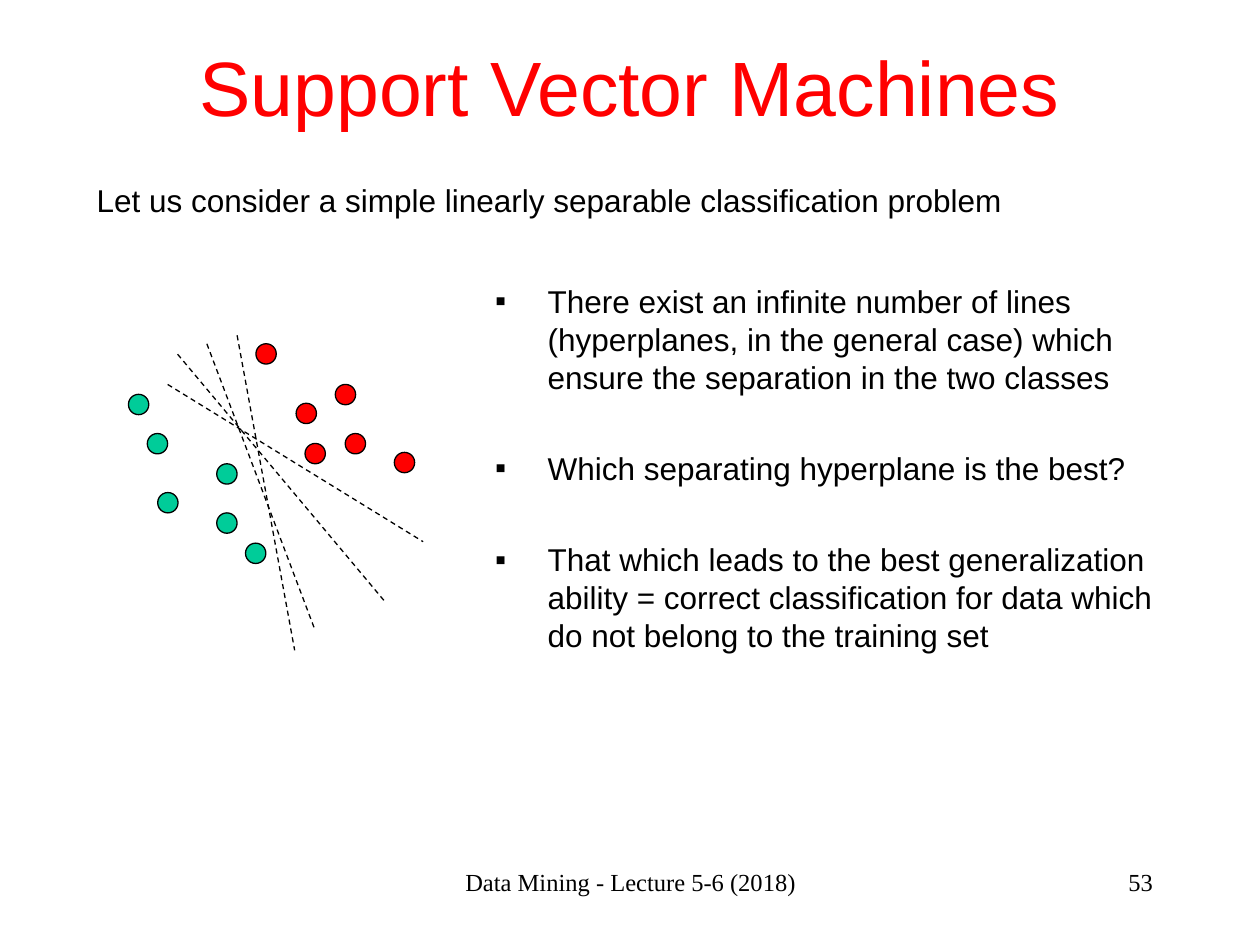
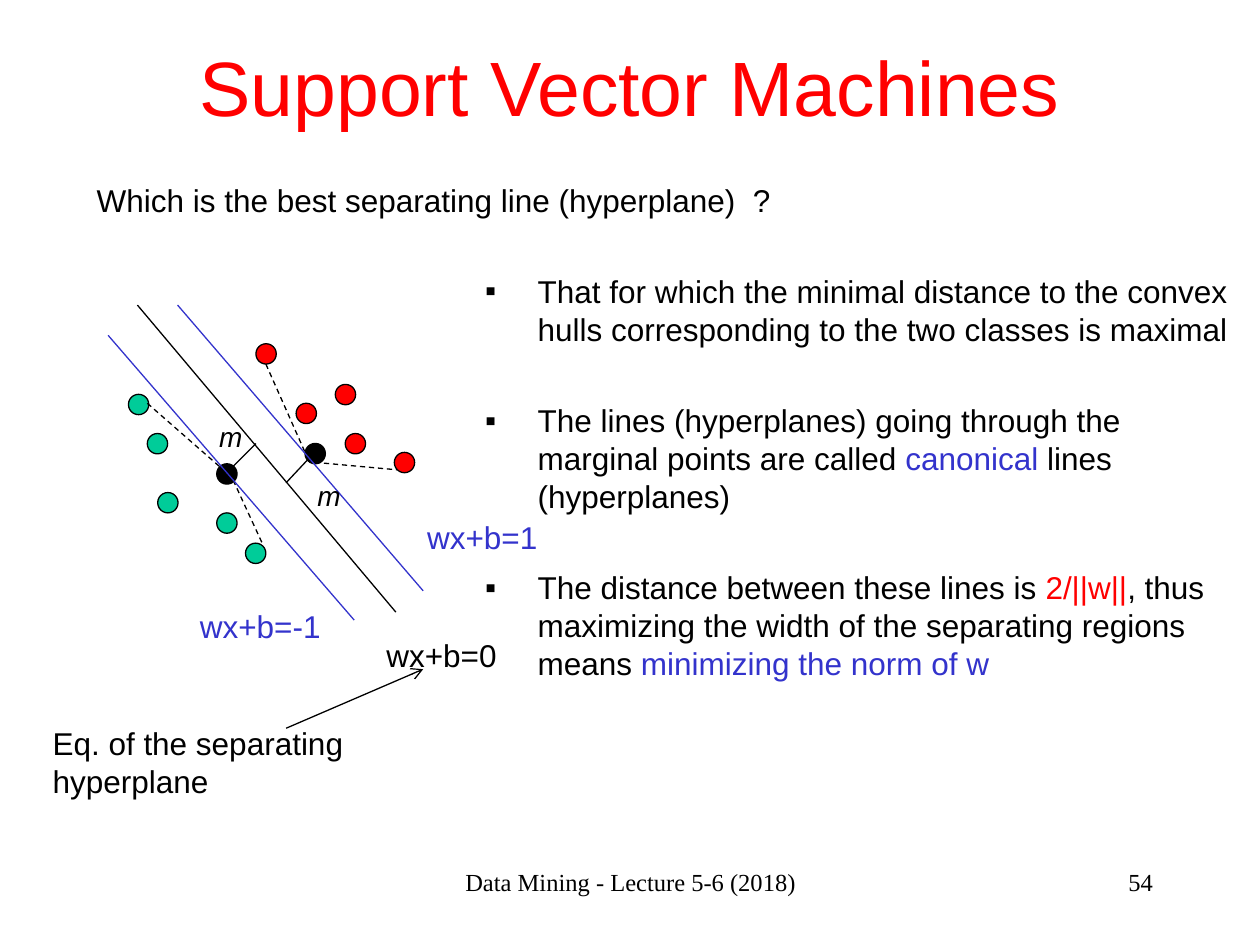
from lxml import etree
from pptx import Presentation
from pptx.dml.color import RGBColor
from pptx.enum.dml import MSO_LINE
from pptx.enum.shapes import MSO_CONNECTOR, MSO_SHAPE
from pptx.enum.text import MSO_ANCHOR, MSO_AUTO_SIZE, PP_ALIGN
from pptx.oxml.ns import qn
from pptx.util import Cm, Pt

BLACK = RGBColor(0x00, 0x00, 0x00)
RED = RGBColor(0xFF, 0x00, 0x00)
GREEN = RGBColor(0x00, 0xCC, 0x99)
BLUE = RGBColor(0x33, 0x33, 0xCC)

BODY_FONT = "Arial"
FOOTER_FONT = "Times New Roman"
BODY_SIZE = 18
LEADING = 1.2
HANGING_INDENT = Cm(1.06)
BULLET_GAP = Pt(30.6)
POINT_DIAMETER = Cm(0.41)
TITLE = "Support Vector Machines"
FOOTER = "Data Mining - Lecture 5-6 (2018)"

# Left and top of each training point, in centimetres
GREEN_CLASS = [(2.97, 8.74), (4.37, 9.35), (4.37, 10.34),
               (3.18, 9.93), (2.59, 7.95), (4.95, 10.95)]
RED_CLASS = [(5.97, 8.13), (6.76, 7.75), (6.15, 8.94),
             (5.16, 6.93), (6.96, 8.74), (7.95, 9.12)]
MARGINAL_POINTS = [(4.37, 9.35), (6.15, 8.94)]

# Lines as x1, y1, x2, y2, in centimetres
CANDIDATE_LINES = [(3.58, 7.14, 7.77, 12.14), (4.17, 6.93, 6.35, 12.7),
                   (3.38, 7.75, 8.53, 10.92), (4.78, 6.76, 5.94, 13.11)]
SEPARATING_LINE = (2.77, 6.15, 7.98, 12.34)
CANONICAL_LINES = [(2.18, 6.76, 7.14, 12.5), (3.58, 6.15, 8.53, 11.91)]
HULL_EDGES = [(5.36, 7.34, 6.15, 9.12), (6.35, 9.32, 8, 9.47),
              (2.97, 8.13, 4.42, 9.4), (4.7, 9.68, 5.31, 11)]
MARGINS = [(4.7, 9.4, 5.16, 8.94), (6.2, 9.27, 5.77, 9.73)]
EQUATION_ARROW = (5.77, 14.68, 8.53, 13.49)


def format_runs(paragraph, size, color, font=BODY_FONT, italic=False):
    for run in paragraph.runs:
        run.font.name = font
        run.font.size = Pt(size)
        run.font.color.rgb = color
        run.font.italic = italic


def add_text(slide, text, box, size=BODY_SIZE, color=BLACK, font=BODY_FONT,
             align=PP_ALIGN.LEFT, italic=False, wrap=True):
    frame = slide.shapes.add_textbox(*map(Cm, box)).text_frame
    frame.word_wrap = wrap
    if not wrap:
        frame.auto_size = MSO_AUTO_SIZE.SHAPE_TO_FIT_TEXT
    frame.text = text
    for paragraph in frame.paragraphs:
        paragraph.alignment = align
        if font == BODY_FONT:
            paragraph.line_spacing = Pt(size * LEADING)
        format_runs(paragraph, size, color, font, italic)


def add_bullet_mark(paragraph):
    properties = paragraph._p.get_or_add_pPr()
    properties.set("marL", str(HANGING_INDENT))
    properties.set("indent", str(-HANGING_INDENT))
    mark_color = etree.SubElement(properties, qn("a:buClr"))
    etree.SubElement(mark_color, qn("a:srgbClr"), val=str(BLACK))
    etree.SubElement(properties, qn("a:buFont"), typeface=BODY_FONT)
    etree.SubElement(properties, qn("a:buChar"), char="▪")


def add_bullets(slide, bullets, box):
    """Each bullet is a list of (text, color) parts."""
    frame = slide.shapes.add_textbox(*map(Cm, box)).text_frame
    frame.word_wrap = True
    for index, parts in enumerate(bullets):
        paragraph = frame.add_paragraph() if index else frame.paragraphs[0]
        paragraph.line_spacing = Pt(BODY_SIZE * LEADING)
        paragraph.space_before = BULLET_GAP if index else Pt(0)
        add_bullet_mark(paragraph)
        for text, _ in parts:
            paragraph.add_run().text = text
        format_runs(paragraph, BODY_SIZE, BLACK)
        for run, (_, color) in zip(paragraph.runs, parts):
            run.font.color.rgb = color


def add_line(slide, ends, color=BLACK, dashed=False, arrow=False):
    connector = slide.shapes.add_connector(MSO_CONNECTOR.STRAIGHT, *map(Cm, ends))
    connector.line.color.rgb = color
    connector.line.width = Pt(0.75)
    if dashed:
        connector.line.dash_style = MSO_LINE.DASH
    if arrow:
        etree.SubElement(connector.line._get_or_add_ln(), qn("a:tailEnd"), type="arrow")
    etree.SubElement(connector._element.spPr, qn("a:effectLst"))


def add_training_points(slide, highlighted=()):
    for positions, class_color in ((GREEN_CLASS, GREEN), (RED_CLASS, RED)):
        for left, top in positions:
            point = slide.shapes.add_shape(MSO_SHAPE.OVAL, Cm(left), Cm(top),
                                           POINT_DIAMETER, POINT_DIAMETER)
            point.shadow.inherit = False
            point.fill.solid()
            point.fill.fore_color.rgb = BLACK if (left, top) in highlighted else class_color
            point.line.color.rgb = BLACK
            point.line.width = Pt(0.75)


def add_lecture_slide(prs, number, lead):
    """Add a slide with the shared title, footer and page number."""
    slide = prs.slides.add_slide(prs.slide_layouts[5])
    title = slide.shapes.title
    title.left, title.top, title.width, title.height = map(Cm, (1.9, 0.53, 21.6, 2.39))
    title.text_frame.text = TITLE
    title.text_frame.vertical_anchor = MSO_ANCHOR.MIDDLE
    title.text_frame.paragraphs[0].alignment = PP_ALIGN.CENTER
    format_runs(title.text_frame.paragraphs[0], 44, RED)
    add_text(slide, FOOTER, (8.69, 17.35, 8.05, 1.27), 14,
             font=FOOTER_FONT, align=PP_ALIGN.CENTER)
    add_text(slide, str(number), (18.21, 17.35, 5.28, 1.27), 14,
             font=FOOTER_FONT, align=PP_ALIGN.RIGHT)
    add_text(slide, lead, (1.7, 3.53, 22, 2.44))
    return slide


def build_problem_slide(prs):
    slide = add_lecture_slide(
        prs, 53, "Let us consider a simple linearly separable classification problem")
    add_training_points(slide)
    for ends in CANDIDATE_LINES:
        add_line(slide, ends, dashed=True)
    add_bullets(slide, [
        [("There exist an infinite number of lines (hyperplanes, in the general case) "
          "which ensure the separation in the two classes", BLACK)],
        [("Which separating hyperplane is the best?", BLACK)],
        [("That which leads to the best generalization ability = correct classification "
          "for data which do not belong to the training set", BLACK)],
    ], (9.73, 5.56, 14.48, 11.3))


def build_margin_slide(prs):
    slide = add_lecture_slide(
        prs, 54, "Which is the best separating line (hyperplane)  ?")
    add_training_points(slide, MARGINAL_POINTS)
    add_line(slide, SEPARATING_LINE)
    add_bullets(slide, [
        [("That for which the minimal distance to the convex hulls corresponding "
          "to the two classes is maximal", BLACK)],
        [("The lines (hyperplanes) going through the marginal points are called ", BLACK),
         ("canonical ", BLUE), ("lines (hyperplanes)", BLACK)],
        [("The distance between these lines is ", BLACK), ("2/||w||", RED),
         (", thus maximizing the width of the separating regions means ", BLACK),
         ("minimizing the norm of w", BLUE)],
    ], (9.53, 5.36, 15.77, 11.51))
    for ends in HULL_EDGES:
        add_line(slide, ends, dashed=True)
    for ends in MARGINS:
        add_line(slide, ends)
    for ends in CANONICAL_LINES:
        add_line(slide, ends, BLUE)
    for left, top in ((4.17, 8.33), (6.15, 9.53)):
        add_text(slide, "m", (left, top, 0.99, 0.94), 16, italic=True)
    for equation, box, color in (
            ("wx+b=0", (7.54, 12.7, 2.8, 1.02), BLACK),
            ("wx+b=-1", (3.78, 12.12, 3, 1.02), BLUE),
            ("wx+b=1", (8.36, 10.31, 2.8, 1.02), BLUE)):
        add_text(slide, equation, box, color=color, wrap=False)
    add_text(slide, "Eq. of the separating\nhyperplane", (0.81, 14.48, 6.45, 1.78), wrap=False)
    add_line(slide, EQUATION_ARROW, arrow=True)


def main():
    prs = Presentation()
    prs.slide_width, prs.slide_height = Cm(25.4), Cm(19.05)
    build_problem_slide(prs)
    build_margin_slide(prs)
    prs.save("out.pptx")


if __name__ == "__main__":
    main()
